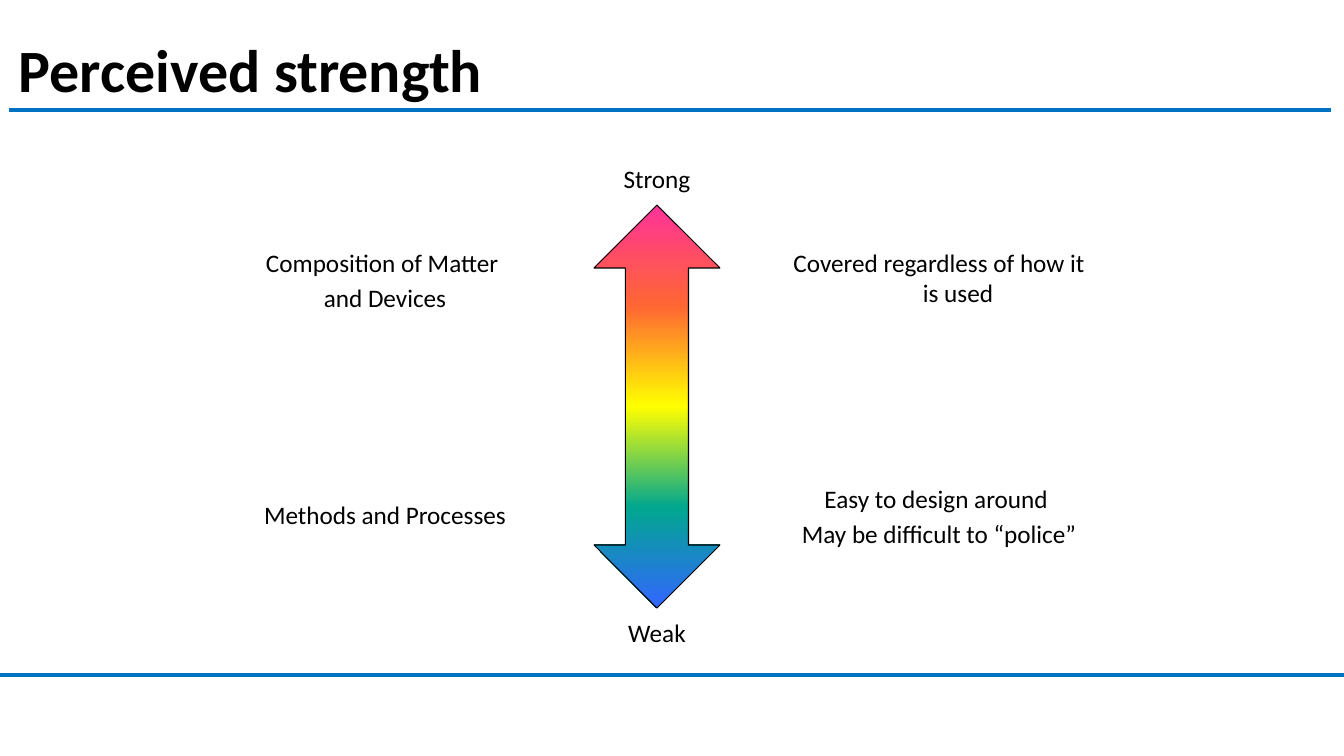
from typing import NamedTuple

from lxml import etree
from pptx import Presentation
from pptx import util as u
from pptx.dml.color import RGBColor
from pptx.enum import shapes, text
from pptx.oxml.ns import qn

EMU_PER_PX = 914400 / 100.8
WIDTH, HEIGHT = 1344, 756
FONT = "Calibri"
HANGING = 38
COLOURS = {
    "ink": "000000",
    "rule": "0070C0",
    "strongest": "FF3399",
    "strong": "FF6633",
    "middle": "FFFF00",
    "weak": "01A78F",
    "weakest": "3366FF",
}
STRENGTH_SCALE = ["strongest", "strong", "middle", "weak", "weakest"]


class Rule(NamedTuple):
    left: int
    right: int
    y: int


class Label(NamedTuple):
    left: int
    top: int
    width: int
    height: int
    lines: list[str]


RULES = [Rule(9, 1331, 110), Rule(0, WIDTH, 675)]
LABELS = [
    Label(565, 158, 184, 42, ["Strong"]),
    Label(565, 612, 184, 42, ["Weak"]),
    Label(221, 242, 328, 78, ["Composition of Matter ", "and Devices"]),
    Label(221, 494, 328, 42, ["Methods and Processes"]),
    Label(775, 242, 328, 78, ["Covered regardless of how it is used"]),
    Label(750, 478, 378, 78,
          ["Easy to design around ", "May be difficult to “police”"]),
]


def px(length: int) -> u.Emu:
    return u.Emu(round(length * EMU_PER_PX))


def colour(name: str) -> RGBColor:
    return RGBColor.from_string(COLOURS[name])


def apply_format(target, values: dict) -> None:
    for attribute, value in values.items():
        setattr(target, attribute, value)


def style_font(font, size: float, bold: bool = False) -> None:
    apply_format(font, {"name": FONT, "size": u.Pt(size), "bold": bold})
    font.color.rgb = colour("ink")


def add_rule(slide, rule: Rule) -> None:
    line = slide.shapes.add_connector(
        shapes.MSO_CONNECTOR.STRAIGHT,
        px(rule.left), px(rule.y), px(rule.right), px(rule.y))
    line.line.color.rgb = colour("rule")
    line.line.width = u.Pt(2.25)
    etree.SubElement(line._element.spPr, qn("a:effectLst"))


def add_title(slide, title: str) -> None:
    frame = slide.shapes.add_textbox(px(9), px(13), px(1322), px(97)).text_frame
    apply_format(frame, {"word_wrap": True,
                         "vertical_anchor": text.MSO_ANCHOR.BOTTOM})
    heading = frame.paragraphs[0]
    heading.text = title
    heading.line_spacing = 0.9
    style_font(heading.runs[0].font, 42.9, bold=True)


def add_label(slide, label: Label) -> None:
    """Centre the lines; the hanging indent shifts any wrapped line."""
    frame = slide.shapes.add_textbox(*map(px, label[:4])).text_frame
    frame.word_wrap = True
    for index, wording in enumerate(label.lines):
        paragraph = frame.add_paragraph() if index else frame.paragraphs[0]
        paragraph.text = wording
        apply_format(paragraph, {"alignment": text.PP_ALIGN.CENTER,
                                 "space_before": u.Pt(3.6 if index else 0)})
        indent = px(HANGING)
        apply_format_xml = {"marL": indent, "indent": -indent}
        for name, value in apply_format_xml.items():
            paragraph._p.get_or_add_pPr().set(name, str(value))
        style_font(paragraph.runs[0].font, 18)


def add_strength_arrow(slide) -> None:
    arrow = slide.shapes.add_shape(
        shapes.MSO_SHAPE.UP_DOWN_ARROW, px(594), px(205), px(126), px(403))
    arrow.shadow.inherit = False
    arrow.line.color.rgb = colour("ink")
    arrow.line.width = u.Pt(0.75)
    arrow.fill.gradient()
    arrow.fill.gradient_angle = 270
    stops = arrow._element.spPr.find(".//" + qn("a:gsLst"))
    for stop in list(stops):
        stops.remove(stop)
    step = 100000 // (len(STRENGTH_SCALE) - 1)
    for index, name in enumerate(STRENGTH_SCALE):
        stop = etree.SubElement(stops, qn("a:gs"), pos=str(index * step))
        etree.SubElement(stop, qn("a:srgbClr"), val=COLOURS[name])


def main() -> None:
    deck = Presentation()
    apply_format(deck, {"slide_width": px(WIDTH), "slide_height": px(HEIGHT)})
    slide = deck.slides.add_slide(deck.slide_layouts[6])
    for rule in RULES:
        add_rule(slide, rule)
    add_title(slide, "Perceived strength")
    add_strength_arrow(slide)
    for label in LABELS:
        add_label(slide, label)
    deck.save("out.pptx")


if __name__ == "__main__":
    main()
